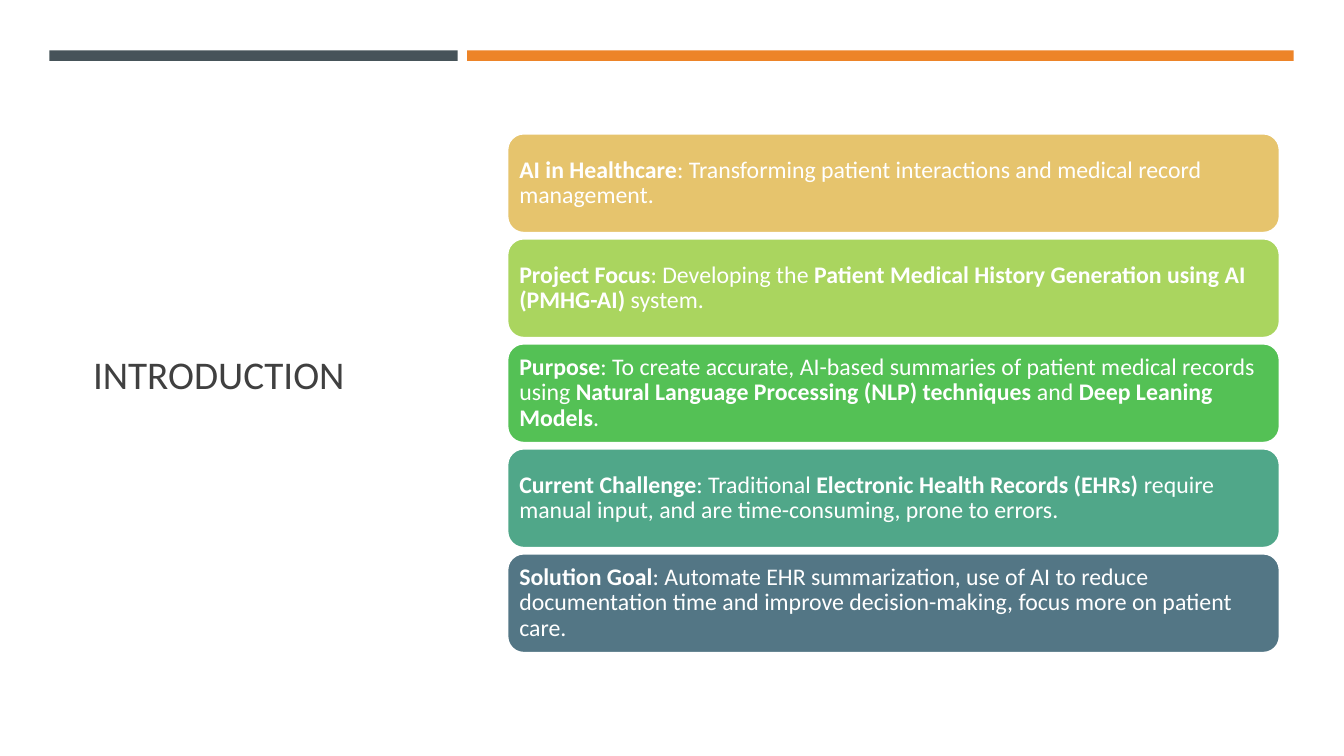
import pptx
import pptx.dml.color
import pptx.enum.shapes
import pptx.enum.text
import pptx.util

PX = 9525
THEME = {
    "font": "Calibri",
    "title_size": 28,
    "card_size": 17,
    "title": "404040",
    "white": "FFFFFF",
    "bars": ["465359", "ED8428"],
    "cards": ["E6C46D", "AAD55F", "54C155", "50A789", "537685"],
}
CARD_TEXTS = [
    ["AI in Healthcare", ": Transforming patient interactions and medical record management."],
    ["Project Focus", ": Developing the ",
     "Patient Medical History Generation using AI (PMHG-AI)", " system."],
    ["Purpose", ": To create accurate, AI-based summaries of patient medical records using ",
     "Natural Language Processing (NLP) techniques", " and ", "Deep Leaning Models", "."],
    ["Current Challenge", ": Traditional ", "Electronic Health Records (EHRs)",
     " require manual input, and are time-consuming, prone to errors."],
    ["Solution Goal", ": Automate EHR summarization, use of AI to reduce documentation time "
     "and improve decision-making, focus more on patient care."],
]
CARD_TOP, CARD_PITCH = 127, 100


def add_block(kind, left, top, width, height, color):
    shape = slide.shapes.add_shape(kind, left * PX, top * PX, width * PX, height * PX)
    shape.shadow.inherit = False
    shape.fill.solid()
    shape.fill.fore_color.rgb = pptx.dml.color.RGBColor.from_string(color)
    shape.line.fill.background()
    return shape


def format_font(font, size, color, bold):
    font.name = THEME["font"]
    font.size = pptx.util.Pt(size)
    font.bold = bold
    font.color.rgb = pptx.dml.color.RGBColor.from_string(color)


presentation = pptx.Presentation()
presentation.slide_width = 1280 * PX
presentation.slide_height = 720 * PX
slide = presentation.slides.add_slide(presentation.slide_layouts[5])

title = slide.shapes.title
title.left, title.top, title.width, title.height = 79 * PX, 109 * PX, 321 * PX, 494 * PX
title.text_frame.text = "INTRODUCTION"
title.text_frame.auto_size = pptx.enum.text.MSO_AUTO_SIZE.NONE
title.text_frame.vertical_anchor = pptx.enum.text.MSO_ANCHOR.MIDDLE
title_paragraph = title.text_frame.paragraphs[0]
title_paragraph.alignment = pptx.enum.text.PP_ALIGN.LEFT
format_font(title_paragraph.runs[0].font, THEME["title_size"], THEME["title"], False)

for (left, width), color in zip([(47, 389), (445, 787)], THEME["bars"]):
    add_block(pptx.enum.shapes.MSO_SHAPE.RECTANGLE, left, 48, width, 10, color)

for index, (texts, color) in enumerate(zip(CARD_TEXTS, THEME["cards"])):
    card = add_block(pptx.enum.shapes.MSO_SHAPE.ROUNDED_RECTANGLE,
                     483, CARD_TOP + index * CARD_PITCH, 736, 95, color)
    card.line.color.rgb = pptx.dml.color.RGBColor.from_string(THEME["white"])
    card.line.width = pptx.util.Pt(1.75)
    frame = card.text_frame
    frame.word_wrap = True
    frame.vertical_anchor = pptx.enum.text.MSO_ANCHOR.MIDDLE
    frame.margin_left = frame.margin_right = frame.margin_top = frame.margin_bottom = 7 * PX
    paragraph = frame.paragraphs[0]
    paragraph.alignment = pptx.enum.text.PP_ALIGN.LEFT
    paragraph.line_spacing = 0.9
    for position, text in enumerate(texts):
        run = paragraph.add_run()
        run.text = text
        format_font(run.font, THEME["card_size"], THEME["white"], position % 2 == 0)

presentation.save("out.pptx")
